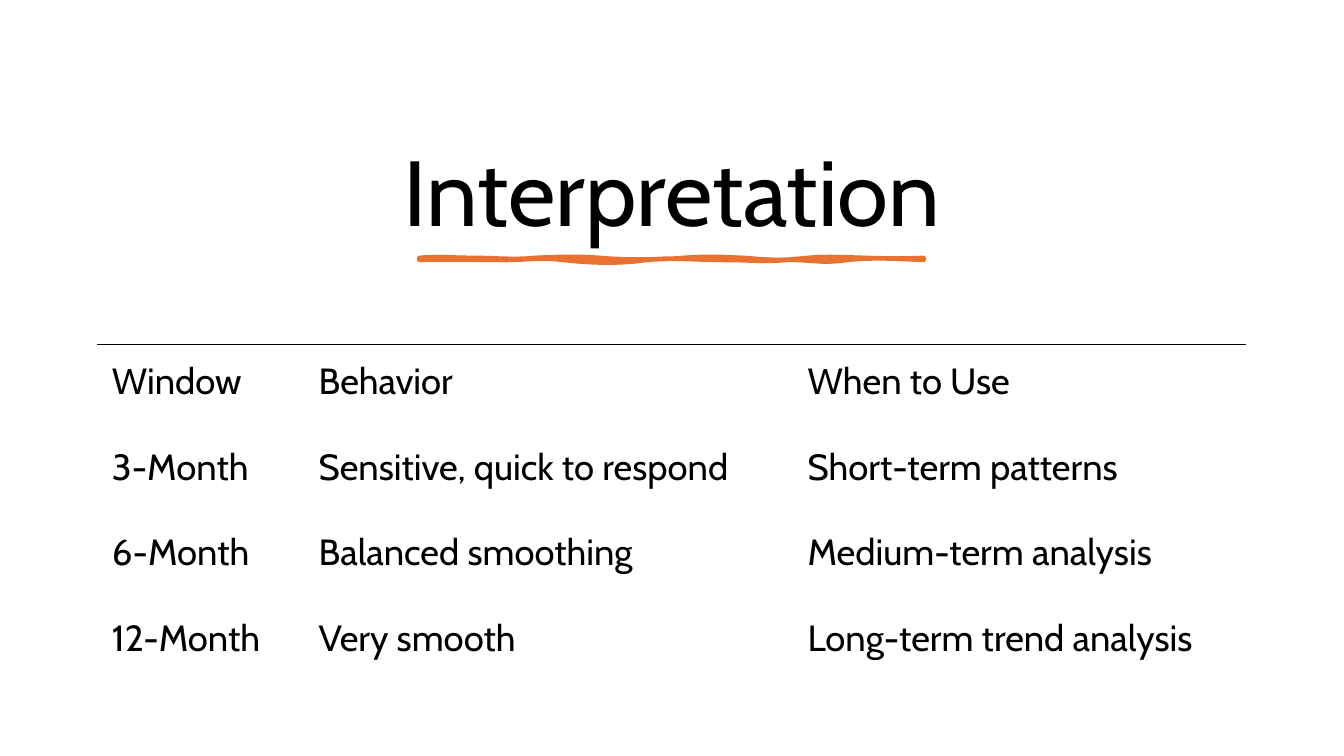
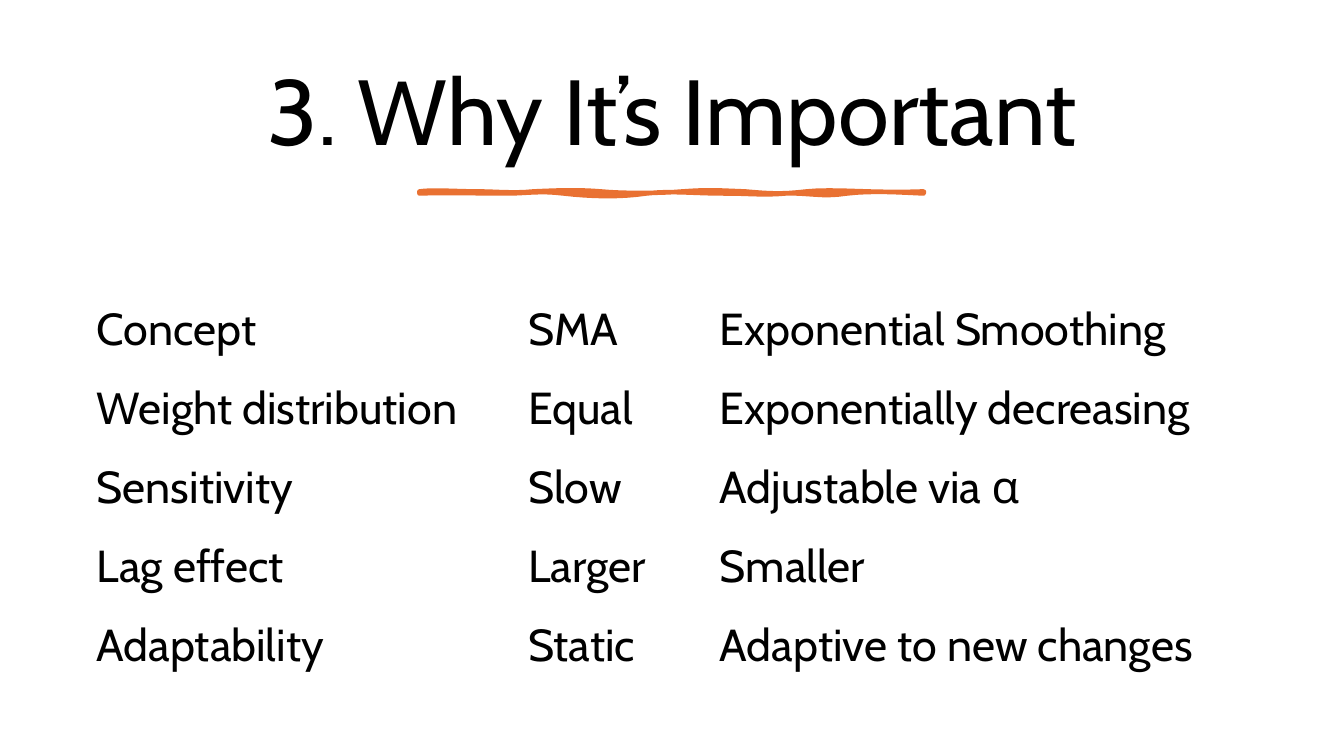
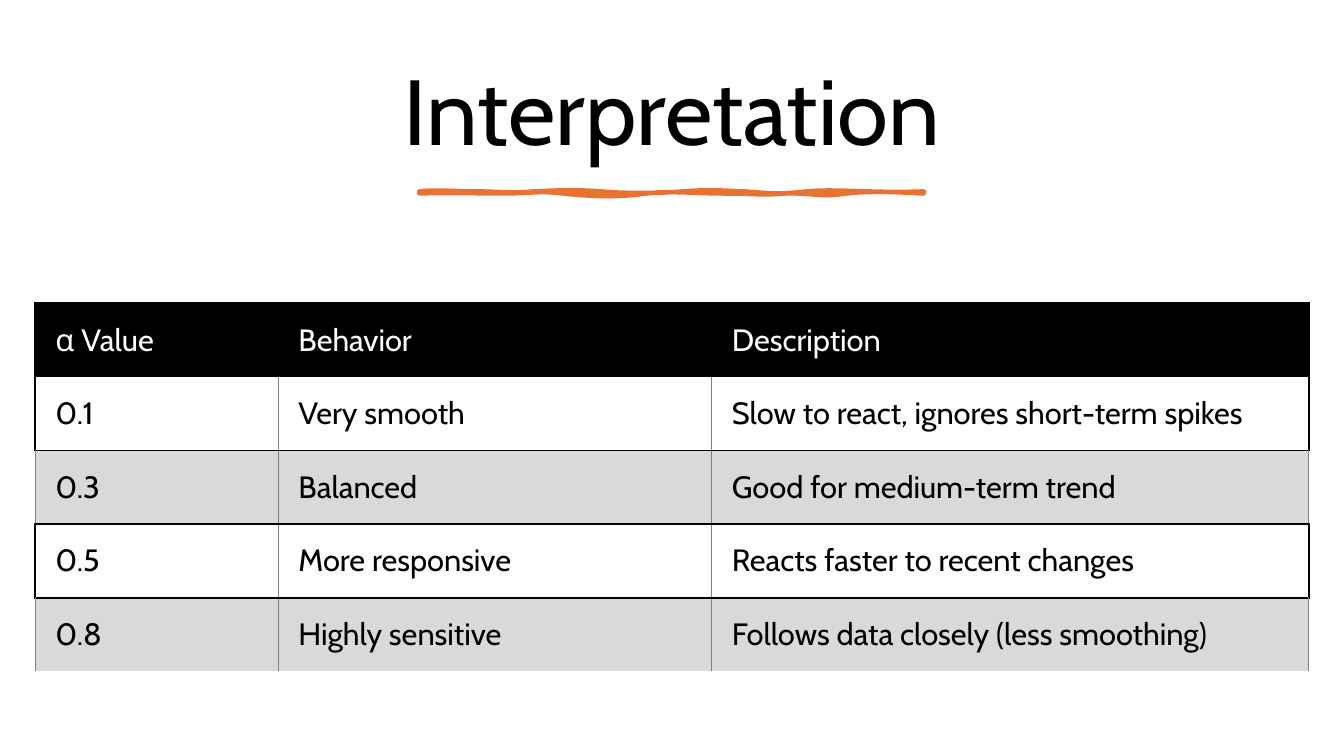
import pptx
import pptx.dml.color
import pptx.enum.text
import pptx.oxml
import pptx.oxml.ns
import pptx.util

FONT = "Cabin"
BLACK, WHITE, ORANGE = "000000", "FFFFFF", "E97132"
GREY, LIGHT_GREY = "808080", "D9D9D9"
WIDTH, HEIGHT = 13.33, 7.5
MARGIN = 0.7
TITLE_WIDTH = WIDTH - 2 * MARGIN
UNDERLINE_LEFT, UNDERLINE_WIDTH = 4.16, 5
PLAIN_TABLE = "{2D5ABB26-0587-4C30-8999-92F81FD0307C}"
MIDDLE = pptx.enum.text.MSO_ANCHOR.MIDDLE
BOTTOM = pptx.enum.text.MSO_ANCHOR.BOTTOM
THICK, THIN = (BLACK, 1.5), (GREY, 0.5)

WAVE_START = (0, 0)
WAVE = [
    ((12, -2), (38, 0), (57, 0)),
    ((76, 0), (93, 2), (113, 0)),
    ((133, -1), (158, -2), (180, 0)),
    ((201, 2), (237, 2), (261, 0)),
    ((286, -2), (298, -1), (323, 0)),
    ((347, 2), (358, 3), (384, 0)),
    ((410, -3), (451, 2), (500, 0)),
    ((501, 1), (500, 1), (500, 2)),
    ((479, 1), (449, -1), (424, 2)),
    ((399, 6), (385, 1), (363, 2)),
    ((340, 4), (331, 2), (301, 2)),
    ((271, 2), (251, -1), (225, 2)),
    ((198, 6), (169, 5), (143, 2)),
    ((118, -1), (107, 2), (87, 2)),
    ((67, 2), (22, 1), (0, 2)),
]
WAVE_SPAN = 500
CURVE_STEPS = 8


def rgb(color):
    return pptx.dml.color.RGBColor.from_string(color)


def inches(*values):
    return [pptx.util.Inches(v) for v in values]


def add_run(p, text, size, color):
    r = p.add_run()
    r.text = text
    r.font.name = FONT
    r.font.size = pptx.util.Pt(size)
    r.font.color.rgb = rgb(color)


def add_title(s, text, top, height, anchor):
    sp = s.shapes.title
    sp.left, sp.top, sp.width, sp.height = inches(MARGIN, top, TITLE_WIDTH, height)
    tf = sp.text_frame
    tf.auto_size = pptx.enum.text.MSO_AUTO_SIZE.NONE
    tf.word_wrap = True
    tf.vertical_anchor = anchor
    p = tf.paragraphs[0]
    p.alignment = pptx.enum.text.PP_ALIGN.CENTER
    p.line_spacing = 0.9
    add_run(p, text, 66, BLACK)


def curve_point(points, t):
    weights = ((1 - t) ** 3, 3 * t * (1 - t) ** 2, 3 * t ** 2 * (1 - t), t ** 3)
    return tuple(sum(w * pt[axis] for w, pt in zip(weights, points)) for axis in (0, 1))


def add_underline(s, left, top, width):
    outline, start = [], WAVE_START
    for curve in WAVE:
        outline += [curve_point((start, *curve), i / CURVE_STEPS)
                    for i in range(1, CURVE_STEPS + 1)]
        start = curve[-1]
    scale = pptx.util.Inches(width) / WAVE_SPAN
    fine = 100
    builder = s.shapes.build_freeform(*WAVE_START, scale=scale / fine)
    builder.add_line_segments([(x * fine, y * fine) for x, y in outline], close=True)
    sp = builder.convert_to_shape(*inches(left, top))
    sp.shadow.inherit = False
    sp.fill.solid()
    sp.fill.fore_color.rgb = rgb(ORANGE)
    sp.line.color.rgb = rgb(ORANGE)
    sp.line.width = pptx.util.Pt(3.25)


def set_borders(cell, borders):
    tc_pr = cell._tc.get_or_add_tcPr()
    for side in "BTRL":
        if side in borders:
            color, width = borders[side]
            tc_pr.insert(0, pptx.oxml.parse_xml(
                f'<a:ln{side} {pptx.oxml.ns.nsdecls("a")} w="{pptx.util.Pt(width)}">'
                f'<a:solidFill><a:srgbClr val="{color}"/></a:solidFill></a:ln{side}>'))


def add_grid(s, box, shares, rows, size, insets, style):
    frame = s.shapes.add_table(len(rows), len(shares), *inches(*box))
    table = frame.table
    table.first_row = table.horz_banding = False
    table._tbl.tblPr.find(pptx.oxml.ns.qn("a:tableStyleId")).text = PLAIN_TABLE
    for column, share in zip(table.columns, shares):
        column.width = pptx.util.Inches(box[2] * share / sum(shares))
    for i, texts in enumerate(rows):
        table.rows[i].height = pptx.util.Inches(box[3] / len(rows))
        for j, text in enumerate(texts):
            fill, color, borders = style(i, j, len(shares) - 1)
            cell = table.cell(i, j)
            cell.vertical_anchor = MIDDLE
            (cell.margin_left, cell.margin_top,
             cell.margin_right, cell.margin_bottom) = inches(*insets)
            if fill:
                cell.fill.solid()
                cell.fill.fore_color.rgb = rgb(fill)
            else:
                cell.fill.background()
            set_borders(cell, borders)
            add_run(cell.text_frame.paragraphs[0], text, size, color)


def ruled_style(row, col, last):
    return None, BLACK, {"T": (BLACK, 1)} if row == 0 else {}


def open_style(row, col, last):
    return None, BLACK, {}


def banded_style(row, col, last):
    if row == 0:
        return BLACK, WHITE, dict.fromkeys("LRT", THICK)
    shaded = row % 2 == 0
    outer = THIN if shaded else THICK
    borders = {"L": outer if col == 0 else THIN,
               "R": outer if col == last else THIN}
    borders["T" if shaded else "B"] = THICK
    return LIGHT_GREY if shaded else None, BLACK, borders


def add_table_slide(prs, title, title_top, title_height, anchor, underline_top, **grid):
    s = prs.slides.add_slide(prs.slide_layouts.get_by_name("Title Only"))
    add_title(s, title, title_top, title_height, anchor)
    add_underline(s, UNDERLINE_LEFT, underline_top, UNDERLINE_WIDTH)
    add_grid(s, **grid)


def main():
    prs = pptx.Presentation()
    prs.slide_width, prs.slide_height = inches(WIDTH, HEIGHT)
    low_title = (0.5, 2, BOTTOM, 2.56)
    high_title = (0.46, 1.37, MIDDLE, 1.9)

    add_table_slide(
        prs, "Interpretation", *low_title,
        box=(0.96, 3.42, 11.4, 3.39), shares=(2.05, 4.85, 4.5), size=26,
        insets=(0.15, 0.11, 0.11, 0.22), style=ruled_style,
        rows=[
            ("Window", "Behavior", "When to Use"),
            ("3-Month", "Sensitive, quick to respond", "Short-term patterns"),
            ("6-Month", "Balanced smoothing", "Medium-term analysis"),
            ("12-Month", "Very smooth", "Long-term trend analysis"),
        ])
    add_table_slide(
        prs, "3. Why It’s Important", *high_title,
        box=(0.78, 2.88, 11.77, 3.92), shares=(4.28, 1.9, 5.59), size=32,
        insets=(0.18, 0.09, 0.18, 0.09), style=open_style,
        rows=[
            ("Concept", "SMA", "Exponential Smoothing"),
            ("Weight distribution", "Equal", "Exponentially decreasing"),
            ("Sensitivity", "Slow", "Adjustable via α"),
            ("Lag effect", "Larger", "Smaller"),
            ("Adaptability", "Static", "Adaptive to new changes"),
        ])
    add_table_slide(
        prs, "Interpretation", *high_title,
        box=(0.35, 3.01, 12.63, 3.65), shares=(2.41, 4.3, 5.92), size=22,
        insets=(0.2, 0.15, 0.15, 0.15), style=banded_style,
        rows=[
            ("α Value", "Behavior", "Description"),
            ("0.1", "Very smooth", "Slow to react, ignores short-term spikes"),
            ("0.3", "Balanced", "Good for medium-term trend"),
            ("0.5", "More responsive", "Reacts faster to recent changes"),
            ("0.8", "Highly sensitive", "Follows data closely (less smoothing)"),
        ])
    prs.save("out.pptx")


if __name__ == "__main__":
    main()
